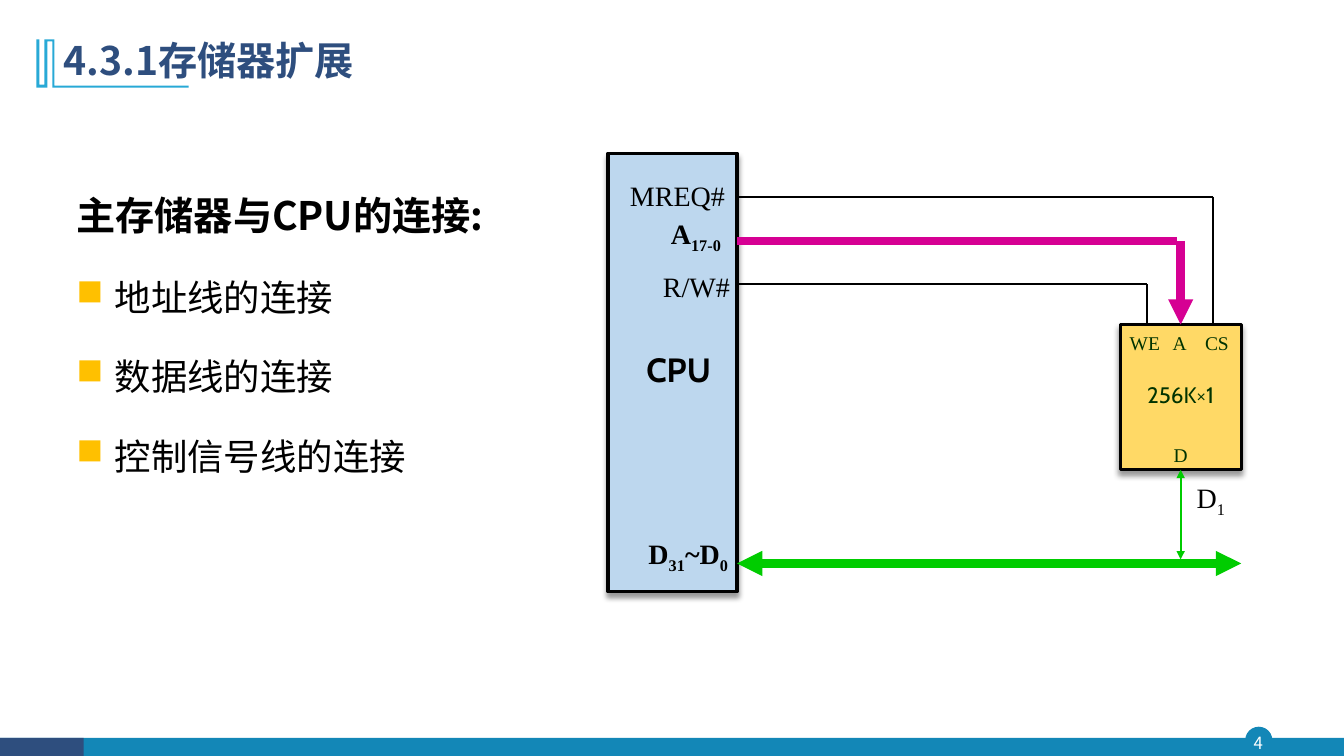
from dataclasses import dataclass

from lxml.etree import SubElement
from pptx import Presentation
from pptx.dml.color import RGBColor
from pptx.enum.shapes import MSO_CONNECTOR as Connector, MSO_SHAPE as Preset
from pptx.enum.text import MSO_ANCHOR as Anchor, MSO_AUTO_SIZE as AutoSize, PP_ALIGN as Align
from pptx.oxml.ns import qn
from pptx.util import Pt

PX = 9144  # EMU in one px, 100 px to the inch


@dataclass(frozen=True)
class Theme:
    sans: str = "Noto Sans CJK SC"
    serif: str = "Times New Roman"
    label: str = "Cabin"
    navy: str = "2E4E7E"
    teal: str = "1387B7"
    sky: str = "28A9D6"
    black: str = "000000"
    white: str = "FFFFFF"
    bullet: str = "FFC000"
    cpu: str = "BDD7EE"
    chip: str = "FFD966"
    pin: str = "003300"
    address: str = "D60093"
    data: str = "00CC00"
    heading_size: int = 28
    item_size: int = 26
    large_size: int = 24
    signal_size: int = 20
    chip_size: int = 16
    number_size: int = 12
    wire: float = 1.5
    bus: float = 6
    border: float = 2.25


THEME = Theme()


@dataclass(frozen=True)
class Box:
    left: int
    top: int
    width: int
    height: int

    def inner(self, x, y, width, height):
        return Box(self.left + x, self.top + y, width, height)

    def emu(self):
        return [n * PX for n in (self.left, self.top, self.width, self.height)]


def color(code):
    return RGBColor.from_string(code)


def style(para, size, ink, face, bold=False, align=Align.LEFT):
    para.alignment = align
    font = para.font
    font.size, font.bold, font.name = Pt(size), bold, face
    font.color.rgb = color(ink)
    props = para._p.pPr.find(qn("a:defRPr"))
    SubElement(props, qn("a:ea"), typeface=face)


def fill_spans(para, spans):
    """Each span is plain text or a (text, baseline percent) pair."""
    for part in spans:
        text, shift = part if isinstance(part, tuple) else (part, 0)
        span = para.add_run()
        span.text = text
        if shift:
            span._r.get_or_add_rPr().set("baseline", str(shift * 1000))


def add_text(page, box, spans, size, ink, face, bold=False, align=Align.LEFT,
             inset=(10, 5), wrap=True, anchor=Anchor.TOP):
    frame = page.shapes.add_textbox(*box.emu()).text_frame
    frame.word_wrap, frame.vertical_anchor = wrap, anchor
    frame.margin_left = frame.margin_right = inset[0] * PX
    frame.margin_top = frame.margin_bottom = inset[1] * PX
    para = frame.paragraphs[0]
    fill_spans(para, spans)
    style(para, size, ink, face, bold, align)
    return frame


def add_block(page, box, preset, fill, border=None):
    block = page.shapes.add_shape(preset, *box.emu())
    block.shadow.inherit = False
    block.fill.solid()
    block.fill.fore_color.rgb = color(fill)
    if border is None:
        block.line.fill.background()
        return block
    block.line.color.rgb = color(THEME.black)
    block.line.width = Pt(border)
    effects = block._element.spPr.find(qn("a:effectLst"))
    shadow = SubElement(effects, qn("a:outerShdw"), blurRad=str(Pt(4)), dist=str(Pt(3)),
                        dir="5400000", algn="t", rotWithShape="0")
    ink = SubElement(shadow, qn("a:srgbClr"), val=THEME.black)
    SubElement(ink, qn("a:alpha"), val="40000")
    return block


def add_wire(page, start, end, ink, width, arrows=()):
    wire = page.shapes.add_connector(Connector.STRAIGHT, *[n * PX for n in (*start, *end)])
    wire.line.color.rgb = color(ink)
    wire.line.width = Pt(width)
    for arrow in arrows:
        SubElement(wire.line._get_or_add_ln(), qn(f"a:{arrow}"), type="triangle")
    SubElement(wire._element.spPr, qn("a:effectLst"))
    return wire


def draw_title(page, box):
    # Double-bar ornament with an underline
    outline = [(18, 0), (18, 46), (151, 46), (151, 48), (16, 48), (16, 2), (11, 2),
               (11, 48), (0, 48), (0, 0), (3, 0), (3, 45), (8, 45), (8, 0)]
    points = [(box.left + x, box.top + y) for x, y in outline]
    builder = page.shapes.build_freeform(*points[0], scale=PX)
    builder.add_line_segments(points[1:], close=True)
    ornament = builder.convert_to_shape()
    ornament.shadow.inherit = False
    ornament.fill.solid()
    ornament.fill.fore_color.rgb = color(THEME.sky)
    ornament.line.fill.background()

    # Title placeholder
    title = page.shapes.title
    title.left, title.top, title.width, title.height = box.inner(17, -11, 1150, 68).emu()
    frame = title.text_frame
    frame.text = "4.3.1存储器扩展"
    frame.vertical_anchor, frame.auto_size = Anchor.MIDDLE, AutoSize.NONE
    para = frame.paragraphs[0]
    para.line_spacing = 0.9
    style(para, THEME.heading_size, THEME.navy, THEME.sans, bold=True)


def draw_footer(page, box):
    add_block(page, box.inner(1235, -11, 27, 27), Preset.OVAL, THEME.teal)
    add_block(page, box, Preset.RECTANGLE, THEME.teal)
    add_block(page, box.inner(0, 0, 83, 18), Preset.RECTANGLE, THEME.navy)
    add_text(page, box.inner(1232, -11, 32, 31), ["4"], THEME.number_size, THEME.white,
             THEME.sans, align=Align.CENTER, inset=(0, 0), anchor=Anchor.MIDDLE)


def draw_points(page, box):
    frame = add_text(page, box, ["主存储器与CPU的连接:"], THEME.heading_size, THEME.black,
                     THEME.sans, bold=True, align=Align.JUSTIFY)
    frame.paragraphs[0].line_spacing = 1.5
    for item in ("地址线的连接", "数据线的连接", "控制信号线的连接"):
        para = frame.add_paragraph()
        para.text = item
        para.line_spacing, para.space_before = 1.5, Pt(10)
        props = para._p.get_or_add_pPr()
        props.set("marL", str(38 * PX))
        props.set("indent", str(-38 * PX))
        SubElement(SubElement(props, qn("a:buClr")), qn("a:srgbClr"), val=THEME.bullet)
        SubElement(props, qn("a:buChar"), char="■")
        style(para, THEME.item_size, THEME.black, THEME.sans, align=Align.JUSTIFY)


def draw_cpu(page, box):
    add_block(page, box, Preset.RECTANGLE, THEME.cpu, THEME.border)
    signals = [
        (1, 62, ["A", ("17-0", -25)], True),
        (5, 24, ["MREQ#"], False),
        (10, 114, ["R/W#"], False),
        (8, 379, ["D", ("31", -25), "~D", ("0", -25)], True),
    ]
    for x, y, spans, bold in signals:
        add_text(page, box.inner(x, y, 112, 56), spans, THEME.signal_size, THEME.black,
                 THEME.serif, bold, Align.RIGHT, inset=(1, 1))
    add_text(page, box.inner(-9, 193, 112, 56), ["CPU"], THEME.large_size, THEME.black,
             THEME.label, True, Align.RIGHT, inset=(1, 1))


def draw_chip(page, box):
    chip = add_block(page, box, Preset.RECTANGLE, THEME.chip, THEME.border)
    for name, x, y, width in (("WE", -3, -3, 55), ("A", 41, -3, 36),
                              ("CS", 72, -3, 48), ("D", 42, 109, 36)):
        add_text(page, box.inner(x, y, width, 50), [(name, 30)], THEME.large_size,
                 THEME.pin, THEME.serif, align=Align.CENTER, wrap=False)
    add_text(page, box.inner(-3, 51, 126, 37), ["256K×1"], THEME.chip_size, THEME.pin,
             THEME.label, align=Align.CENTER)
    return chip


def draw_diagram(page, box):
    cpu_box = box.inner(0, 0, 128, 435)
    chip_box = box.inner(508, 170, 120, 144)
    draw_cpu(page, cpu_box)
    chip = draw_chip(page, chip_box)
    edge = cpu_box.left + cpu_box.width
    middle = chip_box.left + chip_box.width // 2
    bottom = chip_box.top + chip_box.height

    # Control lines: R/W# to WE, MREQ# to CS
    for pin_x, y in ((27, 130), (92, 43)):
        corner = (chip_box.left + pin_x, box.top + y)
        add_wire(page, (edge, corner[1]), corner, THEME.black, THEME.wire)
        add_wire(page, corner, (corner[0], chip_box.top), THEME.black, THEME.wire)

    # Address bus
    address_y = box.top + 87
    add_wire(page, (edge, address_y), (middle - 4, address_y), THEME.address, THEME.bus)
    drop = add_wire(page, (middle, address_y), (middle, chip_box.top), THEME.address,
                    THEME.bus, ["tailEnd"])
    drop.end_connect(chip, 0)

    # Data bus and the chip's data line
    data_y = box.top + 407
    both = ["headEnd", "tailEnd"]
    add_wire(page, (edge, data_y), (box.left + box.width, data_y), THEME.data, THEME.bus, both)
    link = add_wire(page, (middle, bottom), (middle, data_y - 4), THEME.data, THEME.wire, both)
    link.begin_connect(chip, 2)
    add_text(page, chip_box.inner(57, 154, 48, 55), ["D", ("1", -25)], THEME.signal_size,
             THEME.black, THEME.serif, align=Align.RIGHT, inset=(1, 1))


def main():
    deck = Presentation()
    deck.slide_width, deck.slide_height = 1333 * PX, 750 * PX
    page = deck.slides.add_slide(deck.slide_layouts[5])
    draw_footer(page, Box(0, 732, 1333, 18))
    draw_title(page, Box(36, 39, 151, 48))
    draw_points(page, Box(66, 162, 485, 393))
    draw_diagram(page, Box(603, 152, 628, 435))
    deck.save("out.pptx")


if __name__ == "__main__":
    main()
